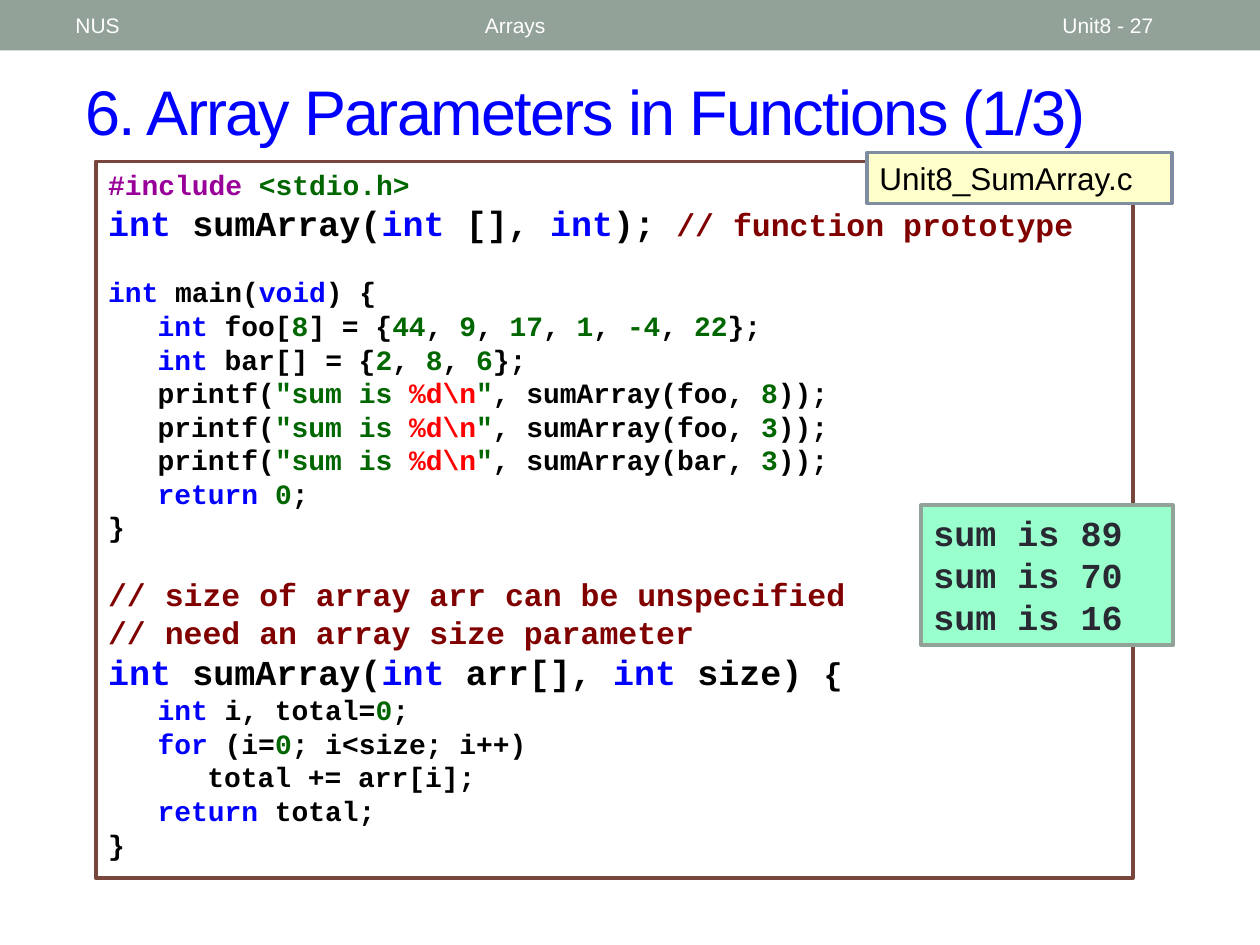
from dataclasses import dataclass

from lxml.etree import SubElement
from pptx import Presentation
from pptx.dml.color import RGBColor
from pptx.enum.shapes import MSO_SHAPE
from pptx.enum.text import MSO_ANCHOR, PP_ALIGN
from pptx.oxml.ns import qn
from pptx.util import Pt


@dataclass(frozen=True)
class Theme:
    sans: str = "Arial"
    mono: str = "Courier New"
    band: str = "93A299"
    white: str = "FFFFFF"
    black: str = "000000"
    title: str = "0000FF"
    code_line: str = "79463D"
    file_fill: str = "FFFFCC"
    file_line: str = "808DA0"
    output_fill: str = "99FFCC"
    output_text: str = "292934"
    keyword: str = "0000FF"
    literal: str = "006600"
    escape: str = "FF0000"
    comment: str = "800000"
    directive: str = "990099"
    title_size: int = 36
    header_size: int = 12
    code_size: int = 16
    note_size: int = 18
    large_size: int = 20
    border: float = 2.08
    tab: float = 28.35
    blank_line: float = 18.1


class SlideBuilder:
    """Draws styled elements on one slide, with lengths in points."""

    def __init__(self, prs, theme):
        self.theme = theme
        self.slide = prs.slides.add_slide(prs.slide_layouts[6])
        self.tags = {
            "k": (theme.keyword, None),
            "n": (theme.literal, None),
            "f": (theme.escape, None),
            "d": (theme.directive, None),
            "c": (theme.comment, theme.note_size),
            "b": (theme.black, theme.note_size),
        }

    def box(self, at, fill, line=None):
        sp = self.slide.shapes.add_shape(MSO_SHAPE.RECTANGLE, *map(Pt, at))
        sp.shadow.inherit = False
        sp.fill.solid()
        sp.fill.fore_color.rgb = RGBColor.from_string(fill)
        if line:
            sp.line.color.rgb = RGBColor.from_string(line)
            sp.line.width = Pt(self.theme.border)
        else:
            sp.line.fill.background()
        sp.text_frame.vertical_anchor = MSO_ANCHOR.TOP
        return sp

    def label(self, at, text, size, color, spacing=0):
        sp = self.slide.shapes.add_textbox(*map(Pt, at))
        sp.text_frame.vertical_anchor = MSO_ANCHOR.MIDDLE
        self.add_lines(sp, [text], self.theme.sans, size, color)
        if spacing:
            r = sp.text_frame.paragraphs[0].runs[0]
            r._r.get_or_add_rPr().set("spc", str(spacing))

    def add_lines(self, sp, lines, font, size, color, bold=False):
        tf = sp.text_frame
        tf.word_wrap = True
        for i, line in enumerate(lines):
            p = tf.add_paragraph() if i else tf.paragraphs[0]
            p.alignment = PP_ALIGN.LEFT
            p.add_run().text = line
            self.style(p.font, font, size, color, bold)

    def style(self, font, name, size, color, bold):
        font.name, font.size, font.bold = name, Pt(size), bold
        font.color.rgb = RGBColor.from_string(color)

    def code(self, sp, lines):
        """Adds (size, gap, text) lines; backticks enclose a tag letter and its text."""
        tf = sp.text_frame
        tf.word_wrap = True
        for i, (size, gap, text) in enumerate(lines):
            p = tf.add_paragraph() if i else tf.paragraphs[0]
            p.alignment = PP_ALIGN.LEFT
            p.space_before = Pt(gap)
            tabs = SubElement(p._p.get_or_add_pPr(), qn("a:tabLst"))
            for n in (1, 2, 3):
                SubElement(tabs, qn("a:tab"), pos=str(Pt(n * self.theme.tab)), algn="l")
            self.style(p.font, self.theme.mono, size, self.theme.black, True)
            for j, part in enumerate(text.split("`")):
                if not part:
                    continue
                r = p.add_run()
                r.text = part[1:] if j % 2 else part
                if j % 2:
                    color, tag_size = self.tags[part[0]]
                    r.font.color.rgb = RGBColor.from_string(color)
                    if tag_size:
                        r.font.size = Pt(tag_size)


def code_lines(theme):
    small, note, large = theme.code_size, theme.note_size, theme.large_size
    gap = theme.blank_line
    foo = ", ".join(f"`n{v}`" for v in (44, 9, 17, 1, -4, 22))
    bar = ", ".join(f"`n{v}`" for v in (2, 8, 6))
    calls = [
        (small, 0, f'\tprintf(`n"sum is ``f%d\\n``n"`, sumArray({name}, `n{count}`));')
        for name, count in (("foo", 8), ("foo", 3), ("bar", 3))
    ]
    return [
        (small, 0, "`d#include ``n<stdio.h>`"),
        (large, 0, "`kint `sumArray(`kint` [], `kint`); `c// function prototype`"),
        (small, gap, "`kint` main(`kvoid`) {"),
        (small, 0, "\t`kint `foo[`n8`] = {" + foo + "};"),
        (small, 0, "\t`kint` bar[] = {" + bar + "};"),
        *calls,
        (small, 0, "\t`kreturn ``n0`;"),
        (small, 0, "}"),
        (note, gap, "`c// size of array arr can be unspecified`"),
        (note, 0, "`c// need an array size parameter`"),
        (large, 0, "`kint `sumArray(`kint `arr[], `kint` size) `b{`"),
        (small, 0, "\t`kint `i, total=`n0`;"),
        (small, 0, "\t`kfor` (i=`n0`; i<size; i++)"),
        (small, 0, "\t\ttotal += arr[i];"),
        (small, 0, "\t`kreturn` total;"),
        (small, 0, "}"),
    ]


def main():
    prs = Presentation()
    prs.slide_width, prs.slide_height = Pt(720), Pt(540)
    theme = Theme()
    s = SlideBuilder(prs, theme)

    s.box((0, 0, 720, 28.8), theme.band)
    s.label((41.8, 30.2, 660, 66.2), "6. Array Parameters in Functions (1/3)",
            theme.title_size, theme.title, spacing=-100)
    for left, width, text in ((36, 228, "NUS"), (270, 324, "Arrays"), (600, 84, "Unit8 - 27")):
        s.label((left, 1.4, width, 26), text, theme.header_size, theme.white)

    listing = s.box((54.7, 92.2, 592.6, 409.7), theme.white, theme.code_line)
    s.code(listing, code_lines(theme))

    file_name = s.box((495.4, 87.1, 174.2, 29.1), theme.file_fill, theme.file_line)
    s.add_lines(file_name, ["Unit8_SumArray.c"], theme.sans, theme.note_size, theme.black)

    output = s.box((526.3, 288.7, 144, 80), theme.output_fill, theme.band)
    s.add_lines(output, [f"sum is {total}" for total in (89, 70, 16)],
                theme.mono, theme.large_size, theme.output_text, bold=True)

    prs.save("out.pptx")


if __name__ == "__main__":
    main()
